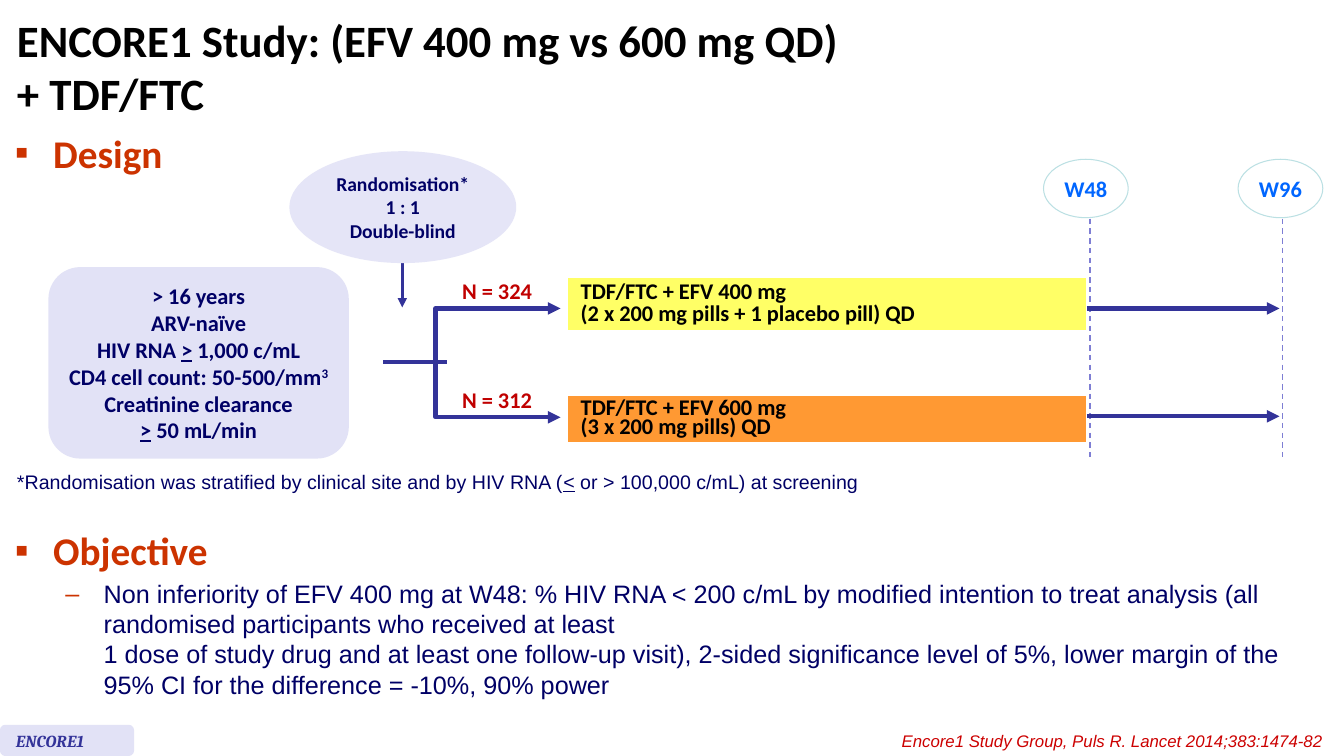
from lxml.etree import SubElement
from pptx import Presentation
from pptx.dml.color import RGBColor
from pptx.enum.dml import MSO_LINE
from pptx.enum.shapes import MSO_CONNECTOR as Connector, MSO_SHAPE as Shape
from pptx.enum.text import MSO_ANCHOR as Anchor, PP_ALIGN as Align
from pptx.oxml.ns import qn
from pptx.util import Pt

PX = 9144  # 100 px to the inch
NAVY, INDIGO, RED, RUST = "000066", "333399", "C00000", "CC3300"
LAVENDER = "E2E2F6"


def paint(color_format, value):
    color_format.rgb = RGBColor.from_string(value)


def fill_with(target, value):
    target.fill.solid()
    paint(target.fill.fore_color, value)


def add_bullet(para, symbol, indent):
    """Give the paragraph a bullet hanging 38 px left of its text."""
    properties = para._p.get_or_add_pPr()
    properties.set("marL", str(indent * PX))
    properties.set("indent", str(-38 * PX))
    color = SubElement(properties, qn("a:buClr"))
    SubElement(color, qn("a:srgbClr"), val=RUST)
    SubElement(properties, qn("a:buFont"), typeface="Arial")
    SubElement(properties, qn("a:buChar"), char=symbol)


def write(frame, *paragraphs, size=16, color="000000", font="Calibri", bold=False,
          italic=False, align=Align.LEFT, spacing=None, before=None, bullet=None, indent=38):
    """Append paragraphs; each is a string or a list of strings and (string, mark)."""
    for content in paragraphs:
        para = frame.paragraphs[0]
        if para.runs:
            para = frame.add_paragraph()
        if bullet:
            add_bullet(para, bullet, indent)
        para.alignment = align
        if spacing:
            para.line_spacing = spacing
        if before:
            para.space_before = Pt(before)
        for piece in [content] if isinstance(content, str) else content:
            words, mark = (piece, None) if isinstance(piece, str) else piece
            for number, line in enumerate(words.split("\n")):
                if number:
                    para.add_line_break()
                span = para.add_run()
                span.text = line
                span.font.name, span.font.size = font, Pt(size)
                span.font.bold, span.font.italic = bold, italic
                paint(span.font.color, color)
                if mark == "underline":
                    span.font.underline = True
                elif mark == "super":
                    span._r.get_or_add_rPr().set("baseline", "30000")


class SlideBuilder:
    def __init__(self, slide):
        self.shapes = slide.shapes

    def text(self, left, top, width, height, *paragraphs, wrap=True, anchor=Anchor.TOP, **style):
        box = self.shapes.add_textbox(left * PX, top * PX, width * PX, height * PX)
        frame = box.text_frame
        frame.word_wrap, frame.vertical_anchor = wrap, anchor
        write(frame, *paragraphs, **style)
        return frame

    def shape(self, kind, left, top, width, height, *paragraphs, fill, outline=None, **style):
        shape = self.shapes.add_shape(kind, left * PX, top * PX, width * PX, height * PX)
        shape.shadow.inherit = False
        fill_with(shape, fill)
        if outline:
            paint(shape.line.color, outline)
            shape.line.width = Pt(0.75)
        else:
            shape.line.fill.background()
        shape.text_frame.word_wrap = False
        shape.text_frame.vertical_anchor = Anchor.MIDDLE
        write(shape.text_frame, *paragraphs, align=Align.CENTER, bold=True, **style)

    def bar(self, left, top, width, height, words, fill, spacing):
        """Draw a treatment arm as a one-cell table."""
        table = self.shapes.add_table(1, 1, left * PX, top * PX, width * PX, height * PX).table
        table.first_row = table.horz_banding = False
        cell = table.cell(0, 0)
        fill_with(cell, fill)
        cell.vertical_anchor = Anchor.MIDDLE
        cell.margin_left = cell.margin_right = 13 * PX
        cell.margin_top = cell.margin_bottom = 5 * PX
        write(cell.text_frame, words, bold=True, spacing=spacing)

    def stroke(self, item, color, width, dashed=False, ends=()):
        """Style a line; ends lists the arrowheads, headEnd before tailEnd."""
        paint(item.line.color, color)
        item.line.width = Pt(width)
        if dashed:
            item.line.dash_style = MSO_LINE.DASH
        for end in ends:
            SubElement(item.line._get_or_add_ln(), qn("a:" + end), type="triangle")

    def line(self, x1, y1, x2, y2, color=INDIGO, width=3, **style):
        link = self.shapes.add_connector(Connector.STRAIGHT, x1 * PX, y1 * PX, x2 * PX, y2 * PX)
        self.stroke(link, color, width, **style)
        SubElement(link._element.spPr, qn("a:effectLst"))

    def fork(self, *points):
        """Draw an open path with an arrowhead at both ends."""
        start, *others = points
        outline = self.shapes.build_freeform(*start, scale=PX)
        outline.add_line_segments(others, close=False)
        path_shape = outline.convert_to_shape()
        path_shape.shadow.inherit = False
        path_shape.fill.background()
        self.stroke(path_shape, INDIGO, 3, ends=("headEnd", "tailEnd"))


def main():
    deck = Presentation()
    deck.slide_width, deck.slide_height = 1333 * PX, 750 * PX
    page = SlideBuilder(deck.slides.add_slide(deck.slide_layouts[6]))
    heading = dict(size=28, color=RUST, bold=True, bullet="▪")

    page.text(7, 5, 1326, 121, "ENCORE1 Study: (EFV 400 mg vs 600 mg QD)\n+ TDF/FTC",
              size=32, bold=True, anchor=Anchor.MIDDLE)
    page.text(5, 123, 264, 63, "Design", **heading)

    page.line(399, 261, 399, 305, width=2.25, ends=("tailEnd",))
    page.shape(Shape.OVAL, 287, 150, 225, 111, "Randomisation*", "1 : 1", "Double-blind",
               fill="E5E5F7", size=14, color=NAVY)
    page.shape(Shape.ROUNDED_RECTANGLE, 48, 265, 298, 190,
               "> 16 years",
               "ARV-naïve",
               ["HIV RNA ", (">", "underline"), " 1,000 c/mL"],
               ["CD4 cell count: 50-500/mm", ("3", "super")],
               "Creatinine clearance",
               [(">", "underline"), " 50 mL/min"],
               fill=LAVENDER, color=NAVY)

    page.bar(563, 275, 515, 53, "TDF/FTC + EFV 400 mg\n(2 x 200 mg pills + 1 placebo pill) QD",
             "FFFF66", 0.8)
    page.bar(563, 392, 515, 47, "TDF/FTC + EFV 600 mg\n(3 x 200 mg pills) QD", "FF9933", 0.7)
    page.fork((556, 306), (432, 306), (432, 414), (556, 414))
    page.line(380, 359, 443, 359)
    for top, count in ((270, "N = 324"), (378, "N = 312")):
        page.text(448, top, 90, 37, count, color=RED, bold=True, align=Align.CENTER, wrap=False)

    for left, middle, week in ((1035, 1081, "W48"), (1228, 1272, "W96")):
        page.shape(Shape.OVAL, left, 158, 84, 58, week,
                   fill="FFFFFF", outline="BBE0E3", color="0066FF")
        page.line(middle, 217, middle, 453, color="7E7ED4", width=1, dashed=True)
    for y in (306, 413):
        page.line(1078, y, 1269, y, ends=("tailEnd",))

    page.text(7, 461, 1326, 34,
              ["*Randomisation was stratified by clinical site and by HIV RNA (",
               ("<", "underline"), " or > 100,000 c/mL) at screening"],
              size=14, font="Arial", color=NAVY)

    objective = page.text(5, 517, 1307, 167, "Objective", **heading)
    write(objective,
          "Non inferiority of EFV 400 mg at W48: % HIV RNA < 200 c/mL by modified intention "
          "to treat analysis (all randomised participants who received at least\n"
          "1 dose of study drug and at least one follow-up visit), 2-sided significance level "
          "of 5%, lower margin of the 95% CI for the difference = -10%, 90% power",
          size=18, font="Arial", color=NAVY, before=3.6, bullet="–", indent=88)

    page.text(881, 720, 441, 30, "Encore1 Study Group, Puls R. Lancet 2014;383:1474-82",
              size=12, font="Arial", color="CC0000", italic=True, align=Align.RIGHT, wrap=False)
    page.shape(Shape.ROUNDED_RECTANGLE, 0, 719, 133, 31, fill=LAVENDER)
    page.text(6, 720, 128, 30, "ENCORE1", size=12, font="Cambria", color=INDIGO,
              bold=True, italic=True)

    deck.save("out.pptx")


if __name__ == "__main__":
    main()
